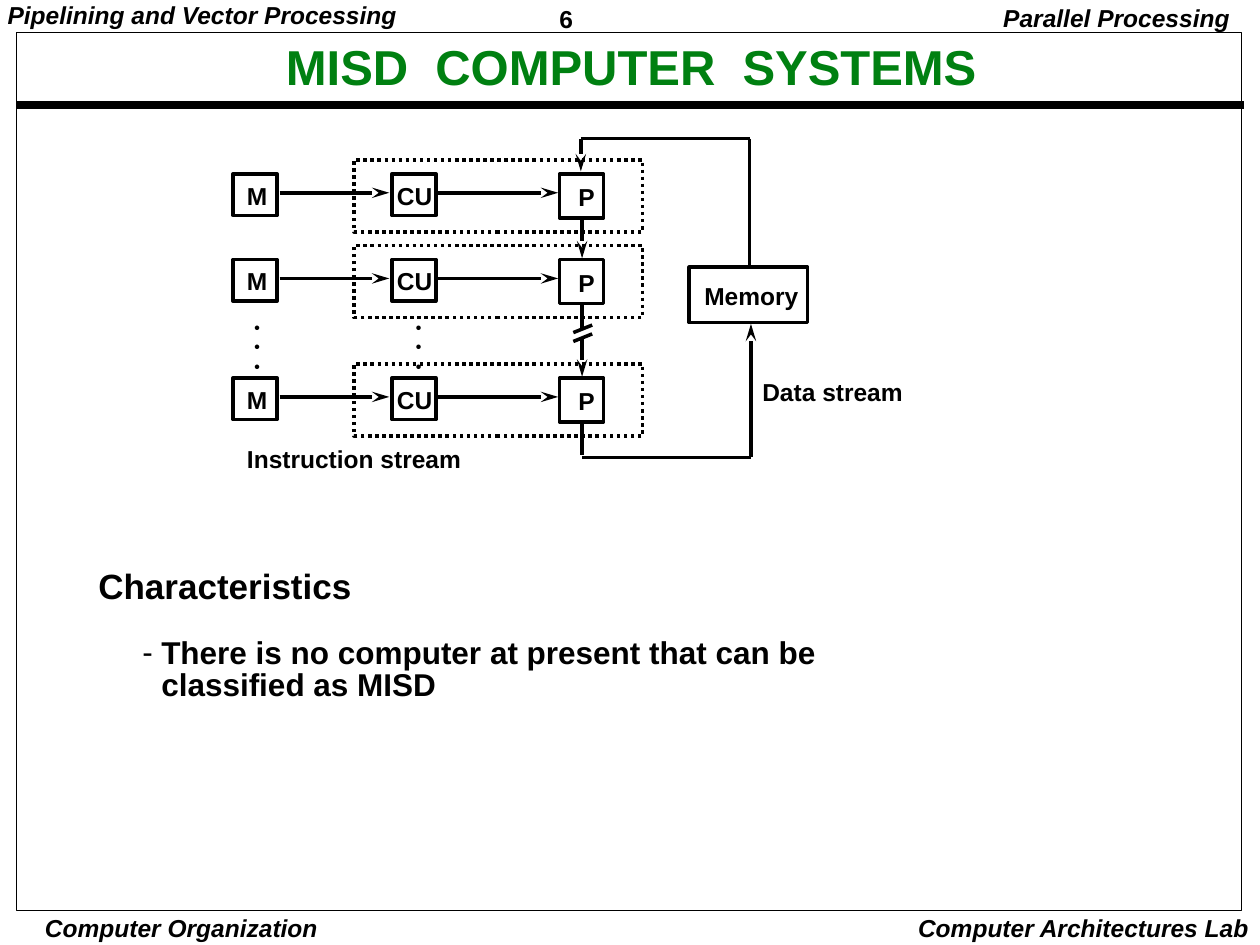
from pptx import Presentation
from pptx import util as u
from pptx.dml.color import RGBColor
from pptx.enum import dml, shapes, text
from pptx.oxml.ns import qn
from lxml import etree

BLACK = RGBColor(0x00, 0x00, 0x00)
WHITE = RGBColor(0xFF, 0xFF, 0xFF)
GREEN = RGBColor(0x00, 0x80, 0x11)
FONT = "Arial"
LEFT, CENTER, RIGHT = text.PP_ALIGN.LEFT, text.PP_ALIGN.CENTER, text.PP_ALIGN.RIGHT
ROW_TOPS = (1.38, 2.06, 3.0)
# text, box left, box height, label left, label width, label drop
UNITS = (
    ("M", 1.85, 0.33, 1.89, 0.34, 0.05),
    ("CU", 3.11, 0.33, 3.08, 0.48, 0.05),
    ("P", 4.44, 0.35, 4.52, 0.3, 0.06),
)


def place(sp, x, y, w, h):
    sp.left, sp.top, sp.width, sp.height = (u.Inches(v) for v in (x, y, w, h))


def set_insets(tf, x, y):
    tf.margin_left = tf.margin_right = u.Inches(x)
    tf.margin_top = tf.margin_bottom = u.Inches(y)


def style(p, size, color=BLACK, italic=False, align=LEFT, spacing=0.9):
    p.alignment = align
    p.line_spacing = spacing
    p.space_before = u.Pt(0)
    for r in p.runs:
        f = r.font
        f.name, f.size, f.bold, f.italic = FONT, u.Pt(size), True, italic
        f.color.rgb = color


def add_label(s, words, x, y, w, h=0.27, size=14, insets=(0.07, 0.03), **look):
    sp = s.shapes.add_textbox(*(u.Inches(v) for v in (x, y, w, h)))
    tf = sp.text_frame
    tf.word_wrap = False
    tf.auto_size = text.MSO_AUTO_SIZE.SHAPE_TO_FIT_TEXT
    set_insets(tf, *insets)
    tf.text = words
    for p in tf.paragraphs:
        style(p, size, **look)


def add_box(s, x, y, w, h, width=2, dotted=False):
    sp = s.shapes.add_shape(shapes.MSO_SHAPE.RECTANGLE,
                            *(u.Inches(v) for v in (x, y, w, h)))
    sp.shadow.inherit = False
    sp.fill.background()
    sp.line.color.rgb = BLACK
    sp.line.width = u.Pt(width)
    if dotted:
        sp.line.dash_style = dml.MSO_LINE.ROUND_DOT


def add_line(s, x1, y1, x2, y2, width=2, color=BLACK, arrow=False):
    sp = s.shapes.add_connector(shapes.MSO_CONNECTOR.STRAIGHT,
                                *(u.Inches(v) for v in (x1, y1, x2, y2)))
    sp.line.color.rgb = color
    sp.line.width = u.Pt(width)
    if arrow:
        etree.SubElement(sp.line._get_or_add_ln(), qn("a:tailEnd"),
                         type="stealth", w="med", len="lg")
    etree.SubElement(sp._element.spPr, qn("a:effectLst"))


def set_bullet(p, char=None, margin=0, hang=0):
    pPr = p._p.get_or_add_pPr()
    pPr.set("marL", str(u.Inches(margin)))
    pPr.set("indent", str(-u.Inches(hang)))
    if char:
        etree.SubElement(pPr, qn("a:buFontTx"))
        etree.SubElement(pPr, qn("a:buChar"), char=char)
    else:
        etree.SubElement(pPr, qn("a:buNone"))


def add_frame(s):
    add_label(s, "6", 4.37, 0, 1.08, 0.29, spacing=1.01)
    add_label(s, "Pipelining and Vector Processing", -0.01, 0, 3.28, italic=True)
    add_label(s, "Parallel Processing", 7.82, 0, 2.04, 0.31, insets=(0.1, 0.05),
              italic=True, align=RIGHT)
    add_label(s, "Computer Organization", 0.29, 7.24, 2.3, 0.26,
              insets=(0.03, 0.01), italic=True, align=CENTER, spacing=1.0)
    add_label(s, "Computer Architectures Lab", 7.13, 7.2, 2.88, 0.33,
              insets=(0.1, 0.05), italic=True, align=RIGHT, spacing=1.0)
    add_line(s, 0.13, 0.83, 9.87, 0.83, width=4.5)
    add_box(s, 0.13, 0.26, 9.72, 6.97, width=0.5)


def fill_title(s):
    sp = s.shapes.title
    place(sp, 0.56, 0.17, 8.9, 0.76)
    tf = sp.text_frame
    tf.text = "MISD  COMPUTER  SYSTEMS"
    tf.auto_size = text.MSO_AUTO_SIZE.NONE
    tf.vertical_anchor = text.MSO_ANCHOR.MIDDLE
    set_insets(tf, 0.07, 0.03)
    style(tf.paragraphs[0], 28, GREEN, align=CENTER)


def fill_body(s):
    sp = s.placeholders[1]
    place(sp, 0.71, 4.5, 5.98, 1.1)
    tf = sp.text_frame
    tf.text = ("Characteristics\n"
               "There is no computer at present that can be classified as MISD")
    tf.auto_size = text.MSO_AUTO_SIZE.NONE
    tf.vertical_anchor = text.MSO_ANCHOR.TOP
    set_insets(tf, 0.07, 0.03)
    heading, item = tf.paragraphs
    set_bullet(heading)
    style(heading, 20, spacing=0.85)
    set_bullet(item, "-", margin=0.5, hang=0.15)
    style(item, 18, spacing=0.85)
    item.space_before = u.Pt(18.5)


def add_row(s, top):
    for words, x, h, label_x, label_w, drop in UNITS:
        add_box(s, x, top, 0.35, h)
        add_label(s, words, label_x, top + drop, label_w)
    add_box(s, 2.81, top - 0.11, 2.29, 0.57, dotted=True)
    for x1, x2 in ((2.22, 3.09), (3.47, 4.43)):
        add_line(s, x1, top + 0.15, x2, top + 0.15, arrow=True)


def add_diagram(s):
    for top in ROW_TOPS:
        add_row(s, top)

    # Links between processors, the second one broken
    for upper, lower in zip(ROW_TOPS, ROW_TOPS[1:]):
        add_line(s, 4.62, upper + 0.36, 4.62, lower - 0.01, arrow=True)
    add_line(s, 4.62, 2.62, 4.62, 2.69, color=WHITE)
    for y in (2.58, 2.65):
        add_line(s, 4.7, y, 4.55, y + 0.06)

    # Omitted rows
    for x in (1.95, 3.23):
        add_label(s, "•\n•\n•", x, 2.49, 0.2, 0.52, size=9, spacing=1.02)

    # Data loop through the memory
    add_line(s, 4.61, 1.1, 4.61, 1.36, arrow=True)
    add_line(s, 4.62, 3.36, 4.62, 3.61)
    add_line(s, 4.62, 3.63, 5.96, 3.63)
    add_line(s, 5.96, 3.63, 5.96, 2.57, arrow=True)
    add_line(s, 4.61, 1.1, 5.95, 1.1)
    add_line(s, 5.95, 1.1, 5.95, 2.13)
    add_label(s, "Memory", 5.52, 2.23, 0.94)
    add_box(s, 5.47, 2.12, 0.94, 0.44)
    add_label(s, "Instruction stream", 1.89, 3.52, 1.92)
    add_label(s, "Data stream", 5.98, 2.99, 1.32)


def main():
    prs = Presentation()
    prs.slide_width, prs.slide_height = u.Inches(10), u.Inches(7.5)
    s = prs.slides.add_slide(prs.slide_layouts[1])
    add_frame(s)
    fill_title(s)
    add_diagram(s)
    fill_body(s)
    prs.save("out.pptx")


if __name__ == "__main__":
    main()
